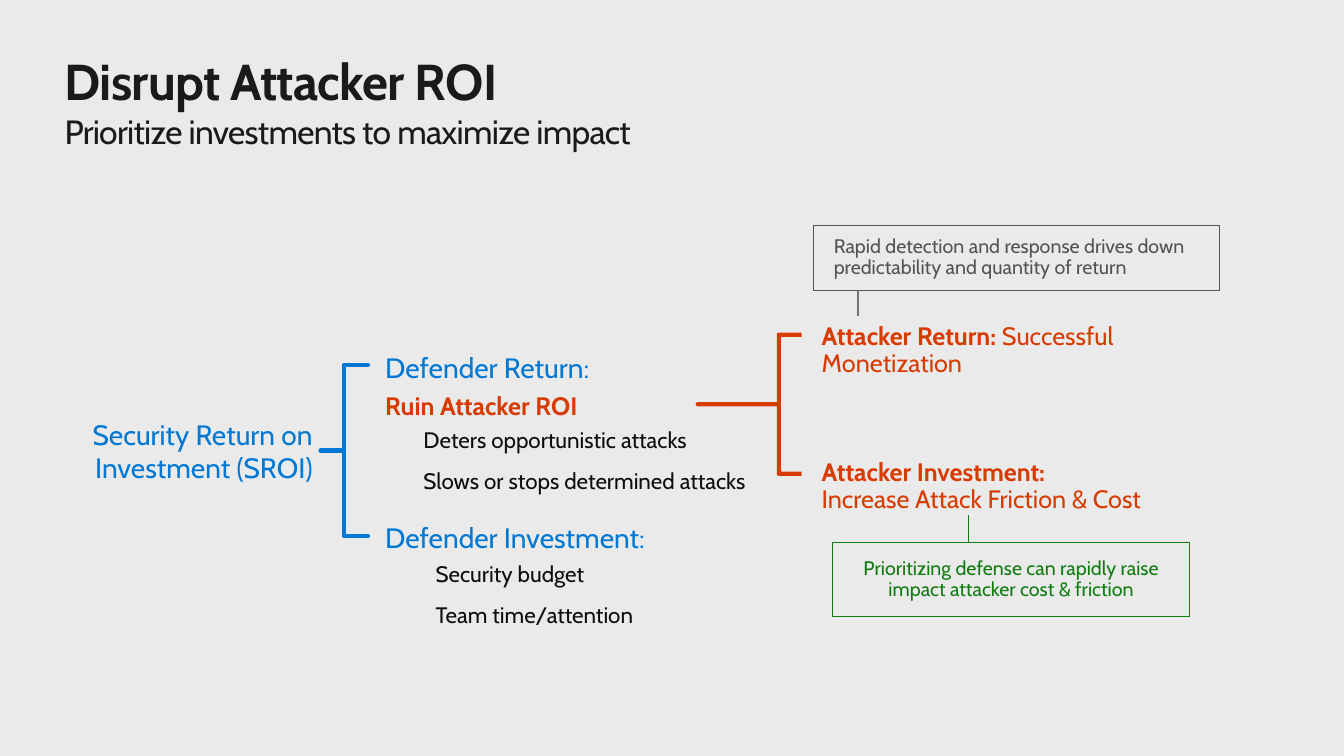
from lxml.etree import SubElement
from pptx import Presentation
from pptx.dml.color import RGBColor
from pptx.enum.shapes import MSO_CONNECTOR, MSO_SHAPE
from pptx.enum.text import MSO_ANCHOR, MSO_AUTO_SIZE, PP_ALIGN
from pptx.oxml.ns import qn
from pptx.util import Inches, Pt

COLORS = {
    "background": "EAEAEA",
    "title": "1A1A1A",
    "defender": "0078D4",
    "attacker": "D73B01",
    "detail": "0D0D0D",
    "detection": "535353",
    "detection_link": "737373",
    "friction": "107C10",
}
FONT = "Cabin"


def color(name):
    """Return the named colour."""
    return RGBColor.from_string(COLORS[name])


def place(box, left, top, width, height):
    """Move and size a placeholder."""
    box.left, box.top = Inches(left), Inches(top)
    box.width, box.height = Inches(width), Inches(height)


def prepare_frame(box, inset=(0.2, 0.16), anchor=MSO_ANCHOR.TOP, grow=True):
    """Set wrapping, margins and anchor, and return the text frame."""
    frame = box.text_frame
    frame.word_wrap = True
    frame.auto_size = MSO_AUTO_SIZE.SHAPE_TO_FIT_TEXT if grow else MSO_AUTO_SIZE.NONE
    frame.vertical_anchor = anchor
    frame.margin_left = frame.margin_right = Inches(inset[0])
    frame.margin_top = frame.margin_bottom = Inches(inset[1])
    return frame


def format_para(para, align=PP_ALIGN.LEFT, spacing=0.9, after=0, level=0, indent=0):
    """Set the layout of a paragraph without a bullet."""
    para.alignment, para.level = align, level
    para.line_spacing = spacing
    para.space_before, para.space_after = Pt(0), Pt(after)
    properties = para._p.get_or_add_pPr()
    properties.set("marL", str(Inches(indent)))
    properties.set("indent", "0")
    SubElement(properties, qn("a:buNone"))


def add_span(para, text, size, tint, bold=False, tracking=None):
    """Add a formatted run to a paragraph."""
    span = para.add_run()
    span.text = text
    span.font.name, span.font.size, span.font.bold = FONT, Pt(size), bold
    span.font.color.rgb = color(tint)
    if tracking is not None:
        span._r.get_or_add_rPr().set("spc", str(round(tracking * 100)))


def add_rectangle(page, bounds, fill=None, line=None):
    """Add a plain rectangle with an optional fill and outline."""
    box = page.shapes.add_shape(MSO_SHAPE.RECTANGLE, *map(Inches, bounds))
    box.shadow.inherit = False
    if fill:
        box.fill.solid()
        box.fill.fore_color.rgb = color(fill)
    else:
        box.fill.background()
    if line:
        box.line.color.rgb = color(line)
        box.line.width = Pt(0.75)
    else:
        box.line.fill.background()
    return box


def add_brace(page, bounds, tint):
    """Add a square-cornered brace that splits into two branches."""
    brace = page.shapes.add_shape(MSO_SHAPE.LEFT_BRACE, *map(Inches, bounds))
    brace.adjustments[0], brace.adjustments[1] = 0, 0.5
    brace.shadow.inherit = False
    brace.fill.background()
    brace.line.color.rgb = color(tint)
    brace.line.width = Pt(3)
    brace.line._get_or_add_ln().set("cap", "rnd")


def add_link(page, x, top, bottom, tint):
    """Add a thin vertical line between a note and its branch."""
    link = page.shapes.add_connector(
        MSO_CONNECTOR.STRAIGHT, Inches(x), Inches(top), Inches(x), Inches(bottom))
    link.line.color.rgb = color(tint)
    link.line.width = Pt(0.75)
    SubElement(link._element.spPr, qn("a:effectLst"))


def fill_title(box):
    """Write the title and its subtitle line."""
    place(box, 0.64, 0.5, 12.05, 1.01)
    para = prepare_frame(box, inset=(0, 0)).paragraphs[0]
    format_para(para, spacing=1.0)
    add_span(para, "Disrupt Attacker ROI", 36, "title", bold=True, tracking=-0.5)
    para.add_line_break()
    add_span(para, "Prioritize investments to maximize impact", 24, "title", tracking=-0.5)


def fill_defender_list(box, bounds, heading, details, indent, emphasis=None):
    """Write a defender heading with its indented details."""
    place(box, *bounds)
    frame = prepare_frame(box)
    para = frame.paragraphs[0]
    format_para(para, after=6)
    add_span(para, heading, 20, "defender")
    if emphasis:
        para = frame.add_paragraph()
        format_para(para, after=6)
        add_span(para, emphasis, 18, "attacker", bold=True)
    for detail in details:
        para = frame.add_paragraph()
        format_para(para, after=12, level=1, indent=indent)
        add_span(para, detail, 16, "detail")


def add_attacker_branch(page, bounds, heading, text, new_line=False):
    """Add an attacker branch label that covers the end of the brace."""
    box = add_rectangle(page, bounds, fill="background")
    para = prepare_frame(box).paragraphs[0]
    format_para(para, after=6)
    add_span(para, heading, 18, "attacker", bold=True)
    if new_line:
        para.add_line_break()
    add_span(para, text, 18, "attacker")


def add_note(page, bounds, text, tint, align=PP_ALIGN.LEFT):
    """Add an outlined note."""
    box = add_rectangle(page, bounds, line=tint)
    para = prepare_frame(box, anchor=MSO_ANCHOR.MIDDLE, grow=False).paragraphs[0]
    format_para(para, align=align)
    add_span(para, text, 14, tint)


def add_root(page):
    """Add the label at the root of the tree."""
    box = page.shapes.add_textbox(*map(Inches, (0.14, 4.09, 3.06, 0.77)))
    para = prepare_frame(box, inset=(0.1, 0.05)).paragraphs[0]
    format_para(para, align=PP_ALIGN.RIGHT, spacing=1.0)
    add_span(para, "Security Return on Investment (SROI)", 20, "defender")


def main():
    """Build the slide and save the deck."""
    deck = Presentation()
    deck.slide_width, deck.slide_height = Inches(13.33), Inches(7.5)
    page = deck.slides.add_slide(deck.slide_layouts.get_by_name("Two Content"))
    page.background.fill.solid()
    page.background.fill.fore_color.rgb = color("background")
    title, investment, gain = page.placeholders

    fill_title(title)
    fill_defender_list(investment, (3.62, 5.04, 3.17, 1.36), "Defender Investment:",
                       ["Security budget", "Team time/attention"], indent=0.5)
    fill_defender_list(gain, (3.62, 3.36, 4.27, 1.78), "Defender Return:",
                       ["Deters opportunistic attacks", "Slows or stops determined attacks"],
                       indent=0.38, emphasis="Ruin Attacker ROI")
    add_root(page)
    add_brace(page, (3.18, 3.62, 0.47, 1.7), "defender")
    add_brace(page, (6.92, 3.32, 1.61, 1.38), "attacker")
    add_attacker_branch(page, (7.95, 4.4, 4.27, 0.87), "Attacker Investment:",
                        "Increase Attack Friction & Cost", new_line=True)
    add_attacker_branch(page, (7.95, 3.05, 3.48, 0.87), "Attacker Return: ",
                        "Successful Monetization")
    add_note(page, (8.26, 5.38, 3.54, 0.74),
             "Prioritizing defense can rapidly raise impact attacker cost & friction",
             "friction", align=PP_ALIGN.CENTER)
    add_note(page, (8.07, 2.24, 4.03, 0.64),
             "Rapid detection and response drives down predictability and quantity of return",
             "detection")
    add_link(page, 8.51, 2.88, 3.14, "detection_link")
    add_link(page, 9.61, 5.11, 5.38, "friction")
    deck.save("out.pptx")


if __name__ == "__main__":
    main()
